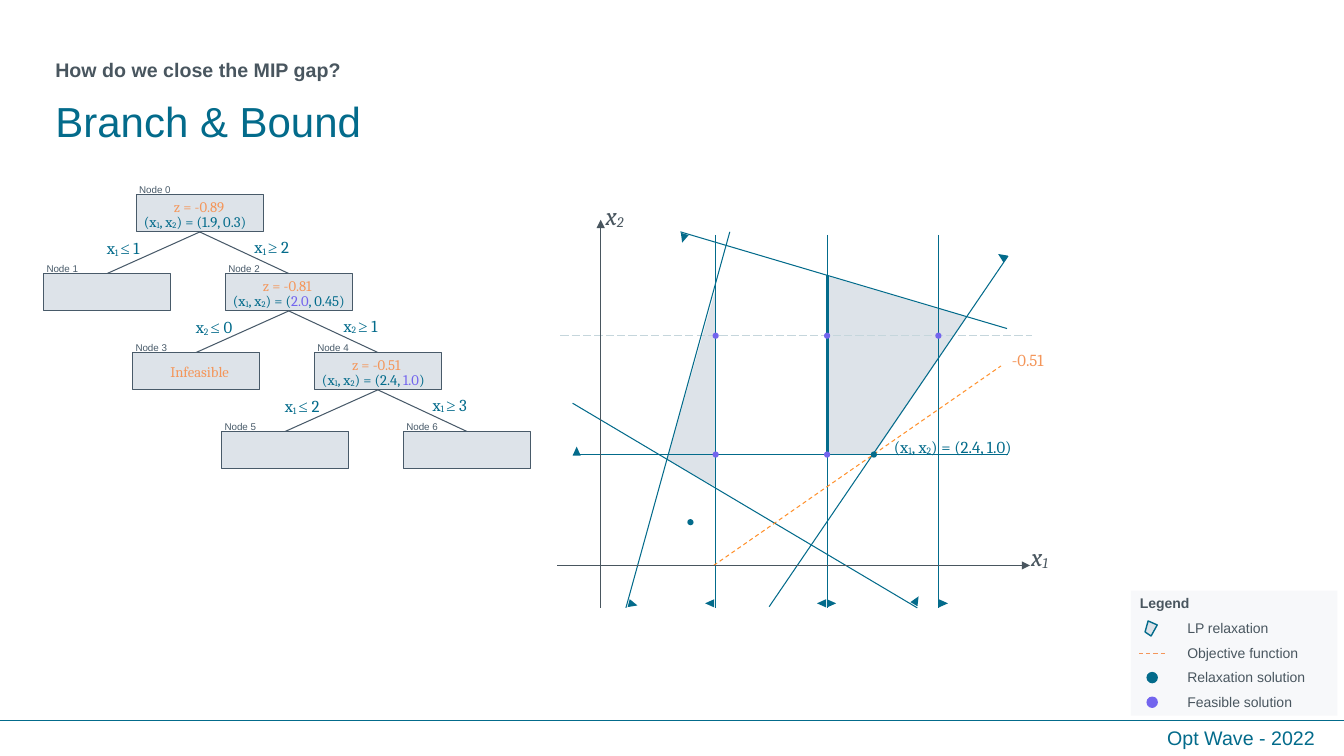
from itertools import product

from lxml import etree
from pptx import Presentation
from pptx.dml.color import RGBColor
from pptx.enum.dml import MSO_LINE
from pptx.enum.shapes import MSO_CONNECTOR, MSO_SHAPE
from pptx.enum.text import MSO_ANCHOR, PP_ALIGN
from pptx.oxml.ns import qn
from pptx.util import Pt

RECT, OVAL, TRI = MSO_SHAPE.RECTANGLE, MSO_SHAPE.OVAL, MSO_SHAPE.ISOSCELES_TRIANGLE
STRAIGHT = MSO_CONNECTOR.STRAIGHT
DASH, LONG = MSO_LINE.DASH, MSO_LINE.LONG_DASH
LEFT, CENTER = PP_ALIGN.LEFT, PP_ALIGN.CENTER
MIDDLE, TOP = MSO_ANCHOR.MIDDLE, MSO_ANCHOR.TOP

TEAL = RGBColor(0x03, 0x6B, 0x8B)
PALE = RGBColor(0xC5, 0xD6, 0xDC)
MIST = RGBColor(0xDD, 0xE3, 0xE9)
SLATE = RGBColor(0x48, 0x5A, 0x69)
GREY = RGBColor(0x49, 0x56, 0x5F)
GOLD = RGBColor(0xFF, 0x91, 0x2D)
PEACH = RGBColor(0xF4, 0x96, 0x5A)
VIOLET = RGBColor(0x73, 0x65, 0xEE)

# Tree sizes: node box and the step from a parent to its children
NODE_W, NODE_H = 91, 26.7
STEP_L, STEP_R, STEP_Y = -66.2, 63.6, 56.4

# Plot grid: integer columns and rows
COLS = 511.2, 590.8, 670.3
ROWS = 324.7, 239.8
TOP_Y, END_Y = 167.8, 434


def write(frame, text, size=10, font="Arial", color=GREY, bold=False,
          italic=False, align=LEFT, anchor=TOP, space=None):
    """Fill a frame; parts split by | start with _ for subscript, * for violet."""
    frame.word_wrap = True
    frame.vertical_anchor = anchor
    para = frame.paragraphs[0]
    para.alignment = align
    para.line_spacing = space
    for part in text.split("|"):
        run = para.add_run()
        run.text = part.lstrip("_*")
        face = run.font
        face.size, face.bold, face.italic = Pt(size), bold, italic
        face.name = "Times New Roman" if part in ("≤", "≥") else font
        face.color.rgb = VIOLET if part.startswith("*") else color
        if part.startswith("_"):
            run._r.get_or_add_rPr().set("baseline", "-8000")


def label(slide, text, x, y, w, h=20, **style):
    box = slide.shapes.add_textbox(Pt(x), Pt(y), Pt(w), Pt(h))
    write(box.text_frame, text, **style)


def math(slide, text, x, y, w, size=12, color=TEAL, **style):
    label(slide, text, x, y, w, size=size, font="Cambria", color=color, **style)


def paint(shape, fill, line=None, width=0.75):
    shape.shadow.inherit = False
    shape.fill.solid()
    shape.fill.fore_color.rgb = fill
    if line is None:
        shape.line.fill.background()
    else:
        shape.line.color.rgb = line
        shape.line.width = Pt(width)


def block(slide, kind, x, y, w, h, fill, **edge):
    shape = slide.shapes.add_shape(kind, Pt(x), Pt(y), Pt(w), Pt(h))
    paint(shape, fill, **edge)
    return shape


def dot(slide, x, y, color, size=4.4):
    block(slide, OVAL, x - size / 2, y - size / 2, size, size, color)


def area(slide, points, **edge):
    (x, y), *rest = [(Pt(a), Pt(b)) for a, b in points]
    path = slide.shapes.build_freeform(x, y)
    path.add_line_segments(rest, close=True)
    paint(path.convert_to_shape(), MIST, **edge)


def line(slide, x1, y1, x2, y2, color=TEAL, width=0.75, dash=None, arrow=False):
    link = slide.shapes.add_connector(STRAIGHT, Pt(x1), Pt(y1), Pt(x2), Pt(y2))
    link.line.color.rgb = color
    link.line.width = Pt(width)
    if dash:
        link.line.dash_style = dash
    if arrow:
        etree.SubElement(link.line._get_or_add_ln(), qn("a:tailEnd"), type="triangle")
    etree.SubElement(link._element.spPr, qn("a:effectLst"))


def node(slide, num, x, y, bound=None, point=None):
    block(slide, RECT, x, y, NODE_W, NODE_H, MIST, line=SLATE)
    label(slide, f"Node {num}", x - 12.5, y - 11, 52, 16,
          size=7, color=SLATE, align=CENTER)
    if point:
        math(slide, point, x - 1.5, y + 9.3, 110, size=10.5)
    if bound:
        drop = -1.5 if point else 3.6
        math(slide, bound, x + 20, y + drop, 75, size=10.5, color=PEACH)


def branch(slide, x, y, low, high):
    """Draw both edges below a node, with their conditions."""
    mid, base = x + NODE_W / 2, y + NODE_H
    for step, text, dx, dy in ((STEP_L, low, -28, 27.5), (STEP_R, high, 77.5, 26.7)):
        line(slide, mid, base, mid + step, y + STEP_Y, SLATE)
        math(slide, text, x + dx, y + dy, 50)


def tree(slide):
    x, y = 97.2, 139
    node(slide, 0, x, y, "z = -0.89", "(x|_1|, x|_2|) = (1.9, 0.3)")
    levels = [
        ("x|_1 |≤| 1", "x|_1 |≥| 2", None,
         ("z = -0.81", "(x|_1|, x|_2|) = (|*2.0|, 0.45)")),
        ("x|_2 |≤| 0", "x|_2 |≥| 1", "Infeasible",
         ("z = -0.51", "(x|_1|, x|_2|) = (2.4, |*1.0|)")),
        ("x|_1 |≤| 2", "x|_1 |≥| 3", None, ()),
    ]
    for depth, (low, high, note, result) in enumerate(levels):
        branch(slide, x, y, low, high)
        y += STEP_Y
        node(slide, 2 * depth + 1, x + STEP_L, y, note)
        x += STEP_R
        node(slide, 2 * depth + 2, x, y, *result)


def plot(slide):
    # Feasible areas
    area(slide, [(670.3, 220.3), (690.5, 226.1), (670.3, 255.6)])
    area(slide, [(591.1, 197.3), (690.5, 226.8), (624.2, 324.7), (591.1, 324.7)])
    area(slide, [(511.2, 206.6), (511.2, 347.8), (476.6, 328.3)])

    # Constraints and cuts
    line(slide, 409, ROWS[0], 720, ROWS[0])
    line(slide, 400.3, ROWS[1], 737.3, ROWS[1], PALE, dash=LONG)
    for x in COLS:
        line(slide, x, TOP_Y, x, END_Y)
    for ends in ((447.1, 434.2, 521.3, 165.6), (719.3, 234.7, 486, 165.6),
                 (720, 182.9, 549.4, 433.4), (409, 288, 655.2, 434.2)):
        line(slide, *ends)
    line(slide, 591.1, 196.6, 591.1, 322.6, width=1.5)
    line(slide, 509.8, 403.9, 715, 261.4, GOLD, dash=DASH)

    # Side marks of the constraints
    for x, y, turn in ((651.6, 425.5, 30.7), (449.3, 428.4, 104.9),
                       (485.3, 167, 196.8), (712.8, 180, 303.8),
                       (591.1, 427.7, 90), (671, 427.7, 90),
                       (504, 427.7, 270), (583.9, 427.7, 270), (409, 319, 0)):
        block(slide, TRI, x, y, 5.8, 6.5, TEAL).rotation = turn

    # Solutions
    for x, y in list(product(COLS, ROWS)):
        if (x, y) != (COLS[2], ROWS[0]):
            dot(slide, x, y, VIOLET)
    dot(slide, 624.2, 324.7, TEAL)
    dot(slide, 493.2, 373, TEAL)

    # Axes and labels
    line(slide, 398.2, 403.9, 735.8, 403.9, GREY, arrow=True)
    line(slide, 429.1, 434.2, 429.1, 157, GREY, arrow=True)
    math(slide, "x|_2", 425.5, 139.7, 40, size=18, color=GREY, italic=True)
    math(slide, "x|_1", 729.4, 383, 40, size=18, color=GREY, italic=True)
    math(slide, "(x|_1|, x|_2|) = (2.4, 1.0)", 631.4, 308.2, 125)
    math(slide, "-0.51", 715.7, 246.2, 50, color=PEACH)


def legend(slide):
    panel = block(slide, RECT, 807.8, 421.9, 147.6, 89.3, MIST)
    shade = panel.fill._xPr.find(qn("a:solidFill"))[0]
    etree.SubElement(shade, qn("a:alpha"), val="22000")
    label(slide, "Legend", 807.1, 421.2, 133, bold=True)
    names = ("LP relaxation", "Objective function",
             "Relaxation solution", "Feasible solution")
    for row, name in enumerate(names):
        label(slide, name, 841, 439.3 + 17.5 * row, 114)
    area(slide, [(820.1, 443.5), (826.6, 446.4), (822.2, 454.3), (817.9, 451.4)],
         line=TEAL, width=1)
    line(slide, 813.6, 466.6, 833.8, 466.6, PEACH, dash=DASH)
    dot(slide, 823, 484, TEAL, 8.2)
    dot(slide, 823, 501.6, VIOLET, 8.2)


def main():
    deck = Presentation()
    deck.slide_width, deck.slide_height = Pt(960), Pt(540)
    slide = deck.slides.add_slide(deck.slide_layouts[5])

    # Heading
    title = slide.shapes.title
    title.left, title.top, title.width, title.height = Pt(32.4), Pt(64.8), Pt(828), Pt(47.5)
    write(title.text_frame, "Branch & Bound", size=30, color=TEAL,
          anchor=MIDDLE, space=0.9)
    label(slide, "How do we close the MIP gap?", 32.4, 39.6, 434, 18,
          size=14, bold=True, space=0.9)

    plot(slide)
    legend(slide)
    tree(slide)

    # Footer
    line(slide, 0, 514.8, 960, 514.8)
    label(slide, "Opt Wave - 2022", 826.6, 514.8, 126, 24.5, size=14, color=TEAL)

    deck.save("out.pptx")


if __name__ == "__main__":
    main()
